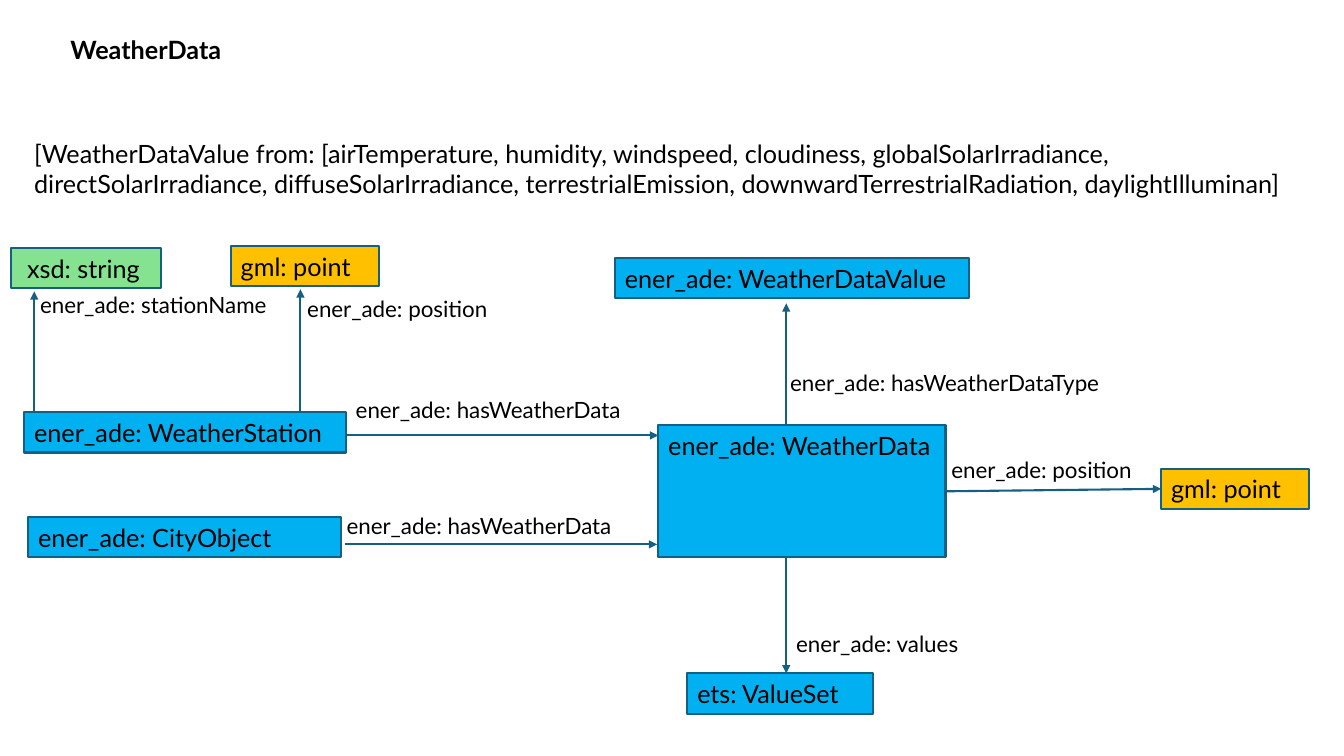
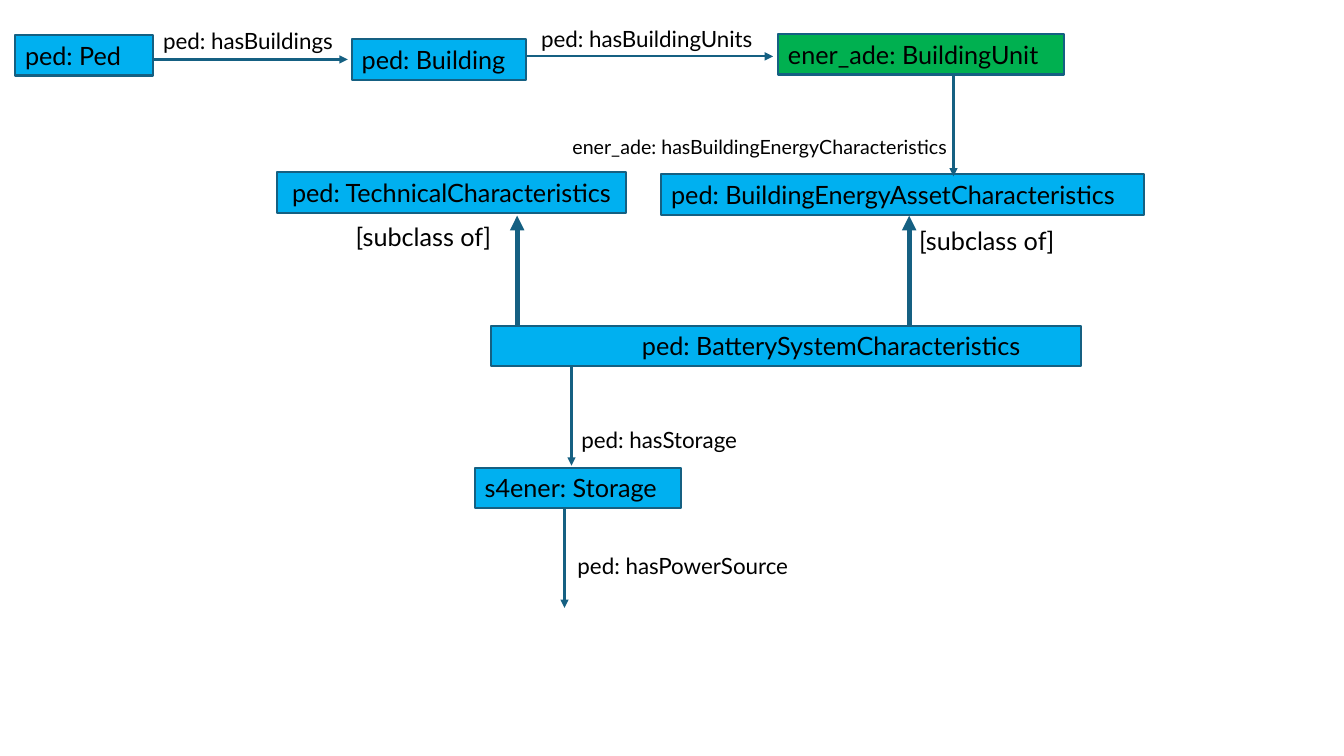
import pptx
import pptx.dml.color
import pptx.enum.shapes
import pptx.enum.text
import pptx.oxml
import pptx.oxml.ns
import pptx.util

Pt = pptx.util.Pt
RGBColor = pptx.dml.color.RGBColor
MSO_ANCHOR = pptx.enum.text.MSO_ANCHOR
MSO_AUTO_SIZE = pptx.enum.text.MSO_AUTO_SIZE
PP_ALIGN = pptx.enum.text.PP_ALIGN

BLUE = RGBColor(0x00, 0xB0, 0xF0)
AMBER = RGBColor(0xFF, 0xC0, 0x00)
MINT = RGBColor(0x84, 0xE2, 0x91)
GREEN = RGBColor(0x00, 0xB0, 0x50)
OUTLINE = RGBColor(0x15, 0x60, 0x82)
BLACK = RGBColor(0x00, 0x00, 0x00)

FONT = "Lato"
LINE_WIDTH = 1.5
SUBCLASS_WIDTH = 3.5
BOX_HEIGHT = 28.8
INSET = 7.2
LEFT = PP_ALIGN.LEFT
CENTER = PP_ALIGN.CENTER


def write_text(shape, text, size=18, bold=False, align=LEFT, indent=INSET, wrap=True):
    frame = shape.text_frame
    frame.word_wrap = wrap
    frame.auto_size = MSO_AUTO_SIZE.NONE if wrap else MSO_AUTO_SIZE.SHAPE_TO_FIT_TEXT
    frame.vertical_anchor = MSO_ANCHOR.TOP
    frame.margin_left = Pt(indent)
    paragraph = frame.paragraphs[0]
    paragraph.alignment = align
    run = paragraph.add_run()
    run.text = text
    run.font.name = FONT
    run.font.size = Pt(size)
    run.font.bold = bold
    run.font.color.rgb = BLACK


def add_arrow(slide, x1, y1, x2, y2, width=LINE_WIDTH):
    arrow = slide.shapes.add_connector(
        pptx.enum.shapes.MSO_CONNECTOR.STRAIGHT, Pt(x1), Pt(y1), Pt(x2), Pt(y2))
    arrow.line.color.rgb = OUTLINE
    arrow.line.width = Pt(width)
    head = pptx.oxml.parse_xml(
        f'<a:tailEnd {pptx.oxml.ns.nsdecls("a")} type="triangle"/>')
    arrow.line._get_or_add_ln().append(head)
    effects = pptx.oxml.parse_xml(f'<a:effectLst {pptx.oxml.ns.nsdecls("a")}/>')
    arrow._element.spPr.append(effects)
    return arrow


weather = {
    "boxes": [
        ("ener_ade: WeatherStation", 17.3, 294.5, 229.7, BOX_HEIGHT, BLUE, LEFT, INSET),
        ("ener_ade: CityObject", 20.2, 369.4, 223.2, BOX_HEIGHT, BLUE, LEFT, INSET),
        ("ener_ade: WeatherData", 470.2, 303.8, 205.2, 94.3, BLUE, LEFT, INSET),
        ("gml: point", 829.4, 334.8, 105.8, BOX_HEIGHT, AMBER, LEFT, INSET),
        ("xsd: string", 7.9, 177.1, 107.3, BOX_HEIGHT, MINT, LEFT, 11.5),
        ("gml: point", 164.9, 175.7, 105.8, BOX_HEIGHT, AMBER, LEFT, INSET),
        ("ener_ade: WeatherDataValue", 439.2, 184.3, 252.7, BOX_HEIGHT, BLUE, LEFT, INSET),
        ("ets: ValueSet", 491, 481, 132.5, BOX_HEIGHT, BLUE, LEFT, INSET),
    ],
    "labels": [
        ("ener_ade: hasWeatherData", 247, 279.4, 205.2, 16),
        ("ener_ade: hasWeatherData", 240.5, 362.2, 205.2, 16),
        ("ener_ade: position", 672.5, 322.6, 144, 16),
        ("ener_ade: hasWeatherDataType", 557.3, 259.9, 235.4, 16),
        ("ener_ade: stationName", 21.6, 204.5, 177.8, 16),
        ("ener_ade: position", 212.4, 207.4, 144, 16),
        ("ener_ade: values", 561.6, 446.4, 132.5, 16),
    ],
    "arrows": [
        (247, 311, 470.2, 311, LINE_WIDTH),
        (246.2, 388.8, 469.4, 388.8, LINE_WIDTH),
        (561.6, 303.8, 561.6, 216.7, LINE_WIDTH),
        (24.5, 294.5, 24.5, 208.1, LINE_WIDTH),
        (214.6, 294.5, 214.6, 206.6, LINE_WIDTH),
        (561.6, 398.1, 561.6, 481, LINE_WIDTH),
    ],
    "joins": [(2, 3, 3, 1)],
    "notes": [
        ("WeatherData", 43.2, 20.9, 134.6, BOX_HEIGHT, True),
        ("[WeatherDataValue from: [airTemperature, humidity, windspeed, cloudiness, "
         "globalSolarIrradiance, directSolarIrradiance, diffuseSolarIrradiance, "
         "terrestrialEmission, downwardTerrestrialRadiation, daylightIlluminan]",
         17.3, 95, 913, 51, False),
    ],
}

battery = {
    "boxes": [
        ("ped: Ped", 10.8, 25.2, 98.6, BOX_HEIGHT, BLUE, LEFT, INSET),
        ("ped: Building", 251.3, 28.1, 124.6, BOX_HEIGHT, BLUE, LEFT, INSET),
        ("ener_ade: BuildingUnit", 555.8, 24.5, 204.5, BOX_HEIGHT, GREEN, LEFT, INSET),
        ("ped: TechnicalCharacteristics", 198, 123.1, 249.1, BOX_HEIGHT, BLUE, CENTER, INSET),
        ("ped: BuildingEnergyAssetCharacteristics", 472.3, 124.6, 344.9, BOX_HEIGHT, BLUE, LEFT, INSET),
        ("ped: BatterySystemCharacteristics", 350.6, 232.6, 421.9, BOX_HEIGHT, BLUE, LEFT, 108),
        ("s4ener: Storage", 339.1, 334.1, 147.6, BOX_HEIGHT, BLUE, LEFT, INSET),
    ],
    "labels": [
        ("ped: hasBuildings", 109.4, 15.8, 139, 16),
        ("ped: hasBuildingUnits", 379.4, 14.4, 167.8, 16),
        ("ener_ade: hasBuildingEnergyCharacteristics", 401.8, 92.9, 284.4, 14),
        ("[subclass of]", 649.4, 157.7, 115.2, 18),
        ("[subclass of]", 247, 154.8, 115.2, 18),
        ("ped: hasStorage", 408.2, 301, 127.4, 16),
        ("ped: hasPowerSource", 405.4, 391, 166.3, 16),
    ],
    "arrows": [
        (110.2, 42.5, 248.4, 42.5, LINE_WIDTH),
        (375.8, 40.3, 552.2, 40.3, LINE_WIDTH),
        (681.1, 53.3, 681.1, 126, LINE_WIDTH),
        (649.4, 232.6, 649.4, 154.1, SUBCLASS_WIDTH),
        (369.4, 232.6, 369.4, 154.1, SUBCLASS_WIDTH),
        (408.2, 261.4, 408.2, 332.6, LINE_WIDTH),
        (403.2, 362.9, 403.2, 434.2, LINE_WIDTH),
    ],
    "joins": [],
    "notes": [],
}

presentation = pptx.Presentation()
presentation.slide_width = Pt(960)
presentation.slide_height = Pt(540)

for diagram in (weather, battery):
    slide = presentation.slides.add_slide(presentation.slide_layouts[6])

    boxes = []
    for text, left, top, width, height, fill, align, indent in diagram["boxes"]:
        box = slide.shapes.add_shape(
            pptx.enum.shapes.MSO_SHAPE.RECTANGLE, Pt(left), Pt(top), Pt(width), Pt(height))
        box.shadow.inherit = False
        box.fill.solid()
        box.fill.fore_color.rgb = fill
        box.line.color.rgb = OUTLINE
        box.line.width = Pt(LINE_WIDTH)
        write_text(box, text, align=align, indent=indent)
        boxes.append(box)

    for x1, y1, x2, y2, width in diagram["arrows"]:
        add_arrow(slide, x1, y1, x2, y2, width)

    for source, source_side, target, target_side in diagram["joins"]:
        arrow = add_arrow(slide, 0, 0, 0, 0)
        arrow.begin_connect(boxes[source], source_side)
        arrow.end_connect(boxes[target], target_side)

    for text, left, top, width, size in diagram["labels"]:
        label = slide.shapes.add_textbox(Pt(left), Pt(top), Pt(width), Pt(1.2 * size + INSET))
        write_text(label, text, size=size, wrap=False)

    for text, left, top, width, height, bold in diagram["notes"]:
        note = slide.shapes.add_textbox(Pt(left), Pt(top), Pt(width), Pt(height))
        write_text(note, text, bold=bold)

presentation.save("out.pptx")
